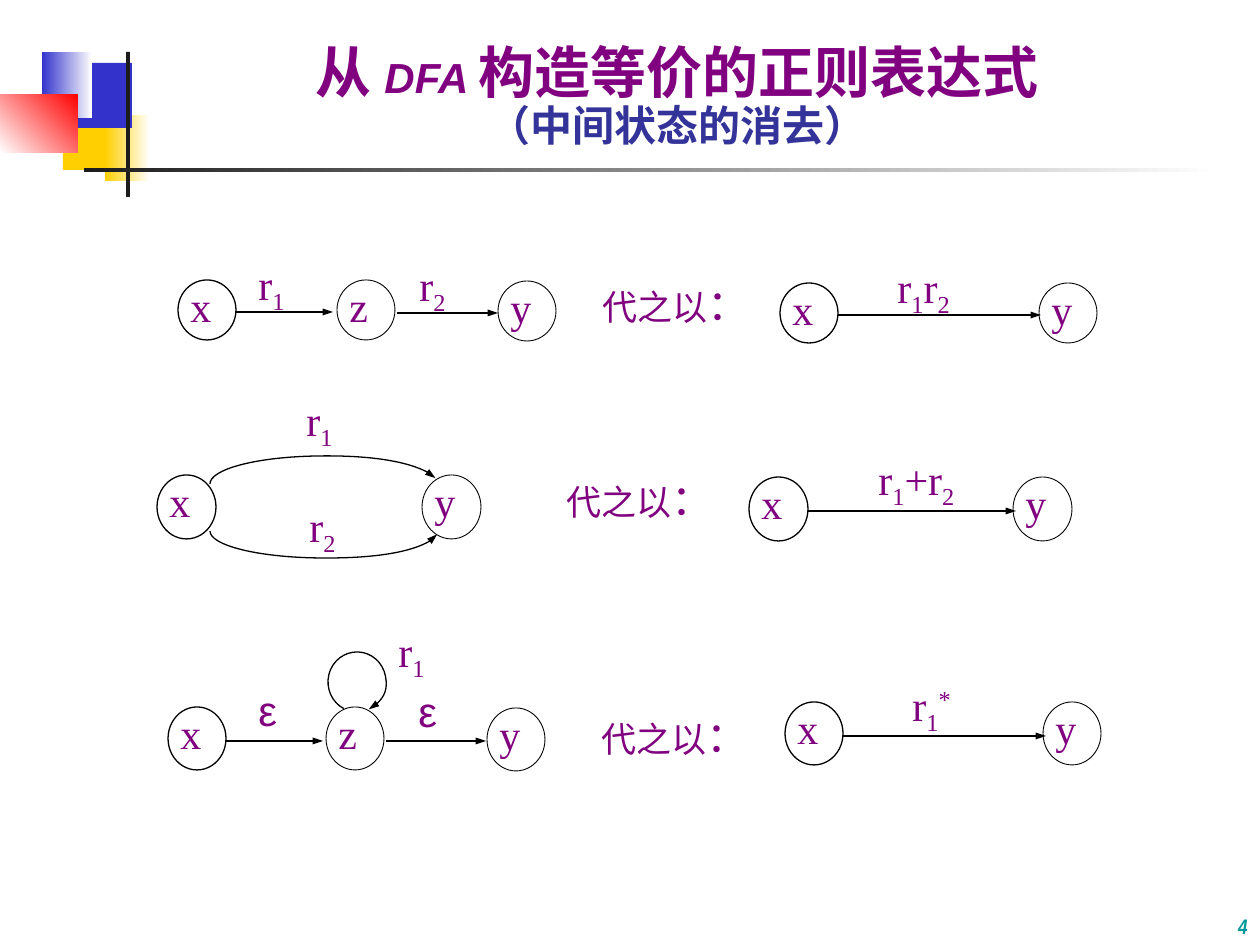
import math

from lxml import etree
from pptx import Presentation
from pptx.dml.color import RGBColor
from pptx.enum.shapes import MSO_CONNECTOR, MSO_SHAPE
from pptx.enum.text import MSO_ANCHOR, PP_ALIGN
from pptx.oxml.ns import qn
from pptx.util import Emu, Pt

PX = 914400 / 126
RECT, OVAL = MSO_SHAPE.RECTANGLE, MSO_SHAPE.OVAL
STRAIGHT = MSO_CONNECTOR.STRAIGHT
LEFT, CENTER, RIGHT = PP_ALIGN.LEFT, PP_ALIGN.CENTER, PP_ALIGN.RIGHT
TOP, BOTTOM = MSO_ANCHOR.TOP, MSO_ANCHOR.BOTTOM

COLORS = {
    "white": "FFFFFF", "black": "000000", "ink": "1C1C1C", "yellow": "FFCF01",
    "blue": "3333CC", "red": "FF0000", "purple": "800080", "navy": "333399",
    "teal": "009999",
}
SERIF, SANS, NARROW, CJK = "Times New Roman", "Arial", "Arial Narrow", "Noto Sans CJK SC"
SUB, SUP = {"baseline": -25}, {"baseline": 30}
R1 = [("r", {}), ("1", SUB)]
R2 = [("r", {}), ("2", SUB)]
EPSILON = [("ε", {"font": SANS})]


def px(n):
    return Emu(round(n * PX))


def rgb(name):
    return RGBColor.from_string(COLORS[name])


def add_run(p, text, font=SERIF, size=24, color="purple", bold=False, italic=False, baseline=0):
    r = p.add_run()
    r.text = text
    f = r.font
    f.name, f.size, f.bold, f.italic = font, Pt(size), bold, italic
    f.color.rgb = rgb(color)
    rPr = r._r.get_or_add_rPr()
    etree.SubElement(rPr, qn("a:ea")).set("typeface", CJK)
    if baseline:
        rPr.set("baseline", str(baseline * 1000))


def arc_points(cx, cy, rx, ry, start, end):
    """Start point, then three Bezier points for each piece of at most 90 degrees."""
    pieces = math.ceil(abs(end - start) / 90)
    step = math.radians(end - start) / pieces
    k = 4 / 3 * math.tan(step / 4)
    points = [(math.cos(math.radians(start)), math.sin(math.radians(start)))]
    for i in range(pieces):
        a = math.radians(start) + i * step
        b = a + step
        points += [(math.cos(a) - k * math.sin(a), math.sin(a) + k * math.cos(a)),
                   (math.cos(b) + k * math.sin(b), math.sin(b) - k * math.cos(b)),
                   (math.cos(b), math.sin(b))]
    return [(px(cx + rx * u), px(cy + ry * v)) for u, v in points]


class Board:
    """Holds the slide and the drawing style."""

    def __init__(self, slide, line=0.75):
        self.shapes = slide.shapes
        self.line = line

    def block(self, x, y, w, h, color, fade=None):
        """Borderless rectangle; fade is (start colour, angle) of a gradient to color."""
        sp = self.shapes.add_shape(RECT, px(x), px(y), px(w), px(h))
        sp.shadow.inherit = False
        sp.line.fill.background()
        if fade is None:
            sp.fill.solid()
            sp.fill.fore_color.rgb = rgb(color)
            return
        start, angle = fade
        sp.fill.gradient()
        sp.fill.gradient_angle = angle
        for stop, name in zip(sp.fill.gradient_stops, (start, color)):
            stop.color.rgb = rgb(name)

    def text(self, x, y, w, h, paragraphs, align=LEFT, anchor=TOP, spacing=None):
        """Each paragraph is a list of (text, run format) pairs."""
        tf = self.shapes.add_textbox(px(x), px(y), px(w), px(h)).text_frame
        tf.word_wrap = True
        tf.vertical_anchor = anchor
        for i, runs in enumerate(paragraphs):
            p = tf.add_paragraph() if i else tf.paragraphs[0]
            p.alignment = align
            if spacing:
                p.line_spacing = spacing
            for text, style in runs:
                add_run(p, text, **style)

    def label(self, x, y, runs):
        self.text(x, y, 120, 72, [runs])

    def state(self, x, y, w, h, name):
        sp = self.shapes.add_shape(OVAL, px(x), px(y), px(w), px(h))
        sp.shadow.inherit = False
        sp.fill.background()
        sp.line.color.rgb = rgb("black")
        sp.line.width = Pt(self.line if name == "x" else 0.5)
        self.text(x, y - 6, w + 12, h + 16, [[(name, {})]])

    def arrow_style(self, sp):
        sp.line.color.rgb = rgb("black")
        sp.line.width = Pt(self.line)
        tail = etree.SubElement(sp.line._get_or_add_ln(), qn("a:tailEnd"))
        for key, value in (("type", "triangle"), ("w", "sm"), ("len", "med")):
            tail.set(key, value)

    def arrow(self, x1, x2, y):
        cx = self.shapes.add_connector(STRAIGHT, px(x1), px(y), px(x2), px(y))
        self.arrow_style(cx)
        etree.SubElement(cx._element.spPr, qn("a:effectLst"))

    def arc(self, *ellipse):
        """Curved arrow: centre, radii, and angles clockwise from the right."""
        points = arc_points(*ellipse)
        fb = self.shapes.build_freeform(*points[0])
        fb.add_line_segments(points[1:], close=False)
        sp = fb.convert_to_shape()
        outline = next(sp._element.iter(qn("a:path")))
        lines = outline.findall(qn("a:lnTo"))
        for i in range(0, len(lines), 3):
            curve = etree.SubElement(outline, qn("a:cubicBezTo"))
            for line in lines[i:i + 3]:
                curve.append(line[0])
                outline.remove(line)
        sp.shadow.inherit = False
        sp.fill.background()
        self.arrow_style(sp)


DECORATION = [
    (63, 105, 60, 65, "yellow", None),
    (105, 115, 45, 66, "yellow", ("white", 180)),
    (73, 63, 59, 65, "blue", None),
    (42, 52, 50, 66, "blue", ("white", 180)),
    (0, 94, 78, 59, "white", ("red", 225)),
    (126, 52, 4, 145, "ink", None),
    (84, 168, 1134, 4, "ink", ("white", 180)),
]

RULES = [
    {   # concatenation
        "size": (58, 60),
        "states": [(178, 280, "x"), (337, 280, "z"), (498, 281, "y"),
                   (780, 283, "x"), (1039, 283, "y")],
        "arrows": [(236, 333, 312), (397, 498, 313), (838, 1041, 315)],
        "arcs": [],
        "labels": [(246, 252, R1), (407, 253, R2), (885, 255, R1 + R2)],
        "replace": (590, 272),
    },
    {   # union
        "size": (59, 64),
        "states": [(157, 475, "x"), (422, 475, "y"), (749, 477, "x"), (1013, 477, "y")],
        "arrows": [(808, 1016, 511)],
        "arcs": [(324, 484, 114, 28, 180, 348), (324, 531, 114, 27, 180, 7)],
        "labels": [(294, 388, R1), (297, 494, R2),
                   (866, 447, R1 + [("+", {})] + R2)],
        "replace": (554, 467),
    },
    {   # closure
        "size": (58, 63),
        "states": [(168, 707, "x"), (326, 707, "z"), (487, 708, "y"),
                   (785, 702, "x"), (1043, 702, "y")],
        "arrows": [(226, 323, 741), (386, 486, 741), (843, 1046, 736)],
        "arcs": [(357, 682, 29, 30, 117, 426)],
        "labels": [(246, 678, EPSILON), (406, 679, EPSILON), (386, 619, R1),
                   (900, 673, R1 + [("*", SUP)])],
        "replace": (589, 704),
    },
]


def main():
    prs = Presentation()
    prs.slide_width, prs.slide_height = px(1260), px(945)
    s = prs.slides.add_slide(prs.slide_layouts[6])
    board = Board(s)

    for item in DECORATION:
        board.block(*item)

    big = {"size": 32, "bold": True}
    title = [("从 ", big), ("DFA ", {"font": SANS, "bold": True, "italic": True}),
             ("构造等价的正则表达式", big)]
    subtitle = [("（中间状态的消去）", {"font": SANS, "color": "navy", "bold": True})]
    board.text(126, 42, 1103, 115, [title, subtitle], CENTER, BOTTOM, 0.9)

    for rule in RULES:
        for x, y, name in rule["states"]:
            board.state(x, y, *rule["size"], name)
        for arrow in rule["arrows"]:
            board.arrow(*arrow)
        for arc in rule["arcs"]:
            board.arc(*arc)
        for label in rule["labels"]:
            board.label(*label)
        x, y = rule["replace"]
        board.text(x, y, 190, 73, [[("代之以", {"size": 20}), ("：", {})]])

    number = {"font": NARROW, "size": 12, "color": "teal", "bold": True, "italic": True}
    board.text(1050, 882, 210, 63, [[("4", number)]], RIGHT, BOTTOM)
    prs.save("out.pptx")


if __name__ == "__main__":
    main()
